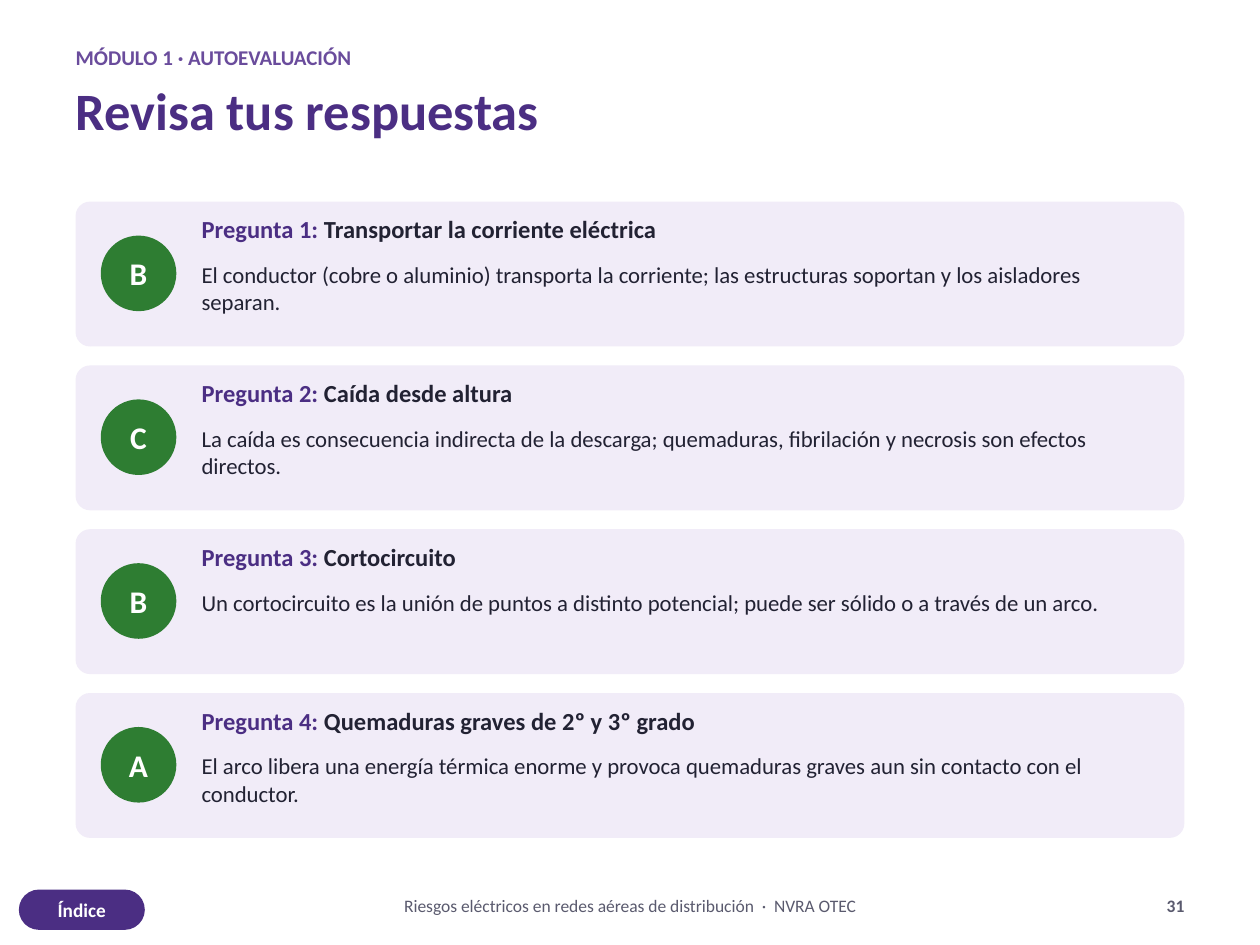
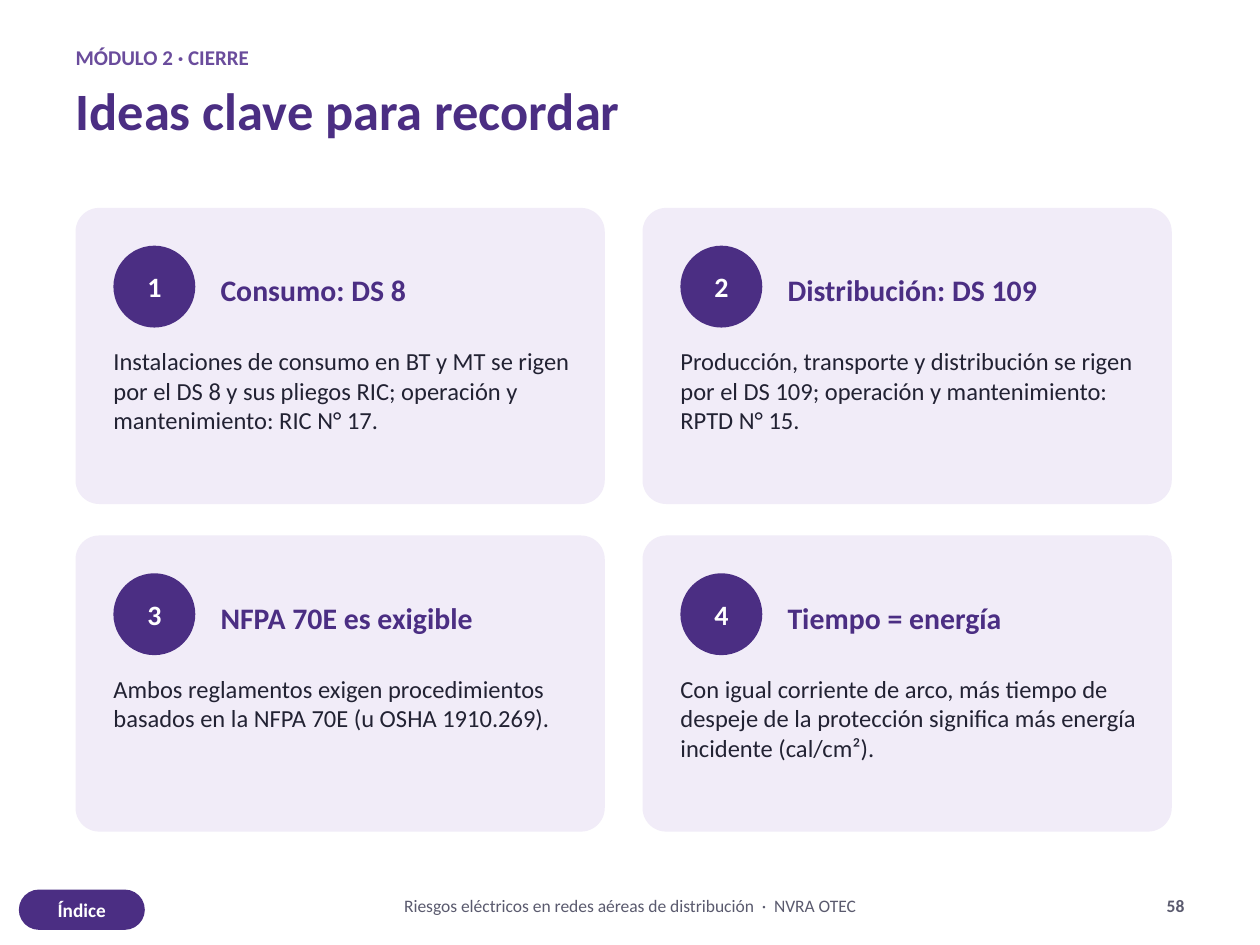
from pptx import Presentation
from pptx import util as u
from pptx.dml.color import RGBColor
from pptx.enum import shapes, text

PURPLE = RGBColor(0x4B, 0x2E, 0x83)
VIOLET = RGBColor(0x6A, 0x4C, 0x9C)
LILAC = RGBColor(0xF1, 0xEC, 0xF8)
GREEN = RGBColor(0x2E, 0x7D, 0x32)
INK = RGBColor(0x22, 0x22, 0x33)
GREY = RGBColor(0x5A, 0x5A, 0x6E)
WHITE = RGBColor(0xFF, 0xFF, 0xFF)

PX = 9144
WIDTH, HEIGHT = 1000, 750
MARGIN = 60
CONTENT_WIDTH = WIDTH - 2 * MARGIN
FOOTER = "Riesgos eléctricos en redes aéreas de distribución  ·  NVRA OTEC"

ANSWERS = [
    ("B", "Transportar la corriente eléctrica",
     "El conductor (cobre o aluminio) transporta la corriente; "
     "las estructuras soportan y los aisladores separan."),
    ("C", "Caída desde altura",
     "La caída es consecuencia indirecta de la descarga; "
     "quemaduras, fibrilación y necrosis son efectos directos."),
    ("B", "Cortocircuito",
     "Un cortocircuito es la unión de puntos a distinto potencial; "
     "puede ser sólido o a través de un arco."),
    ("A", "Quemaduras graves de 2º y 3º grado",
     "El arco libera una energía térmica enorme y provoca "
     "quemaduras graves aun sin contacto con el conductor."),
]

KEY_IDEAS = [
    ("Consumo: DS 8",
     "Instalaciones de consumo en BT y MT se rigen por el DS 8 "
     "y sus pliegos RIC; operación y mantenimiento: RIC N° 17."),
    ("Distribución: DS 109",
     "Producción, transporte y distribución se rigen por el DS 109; "
     "operación y mantenimiento: RPTD N° 15."),
    ("NFPA 70E es exigible",
     "Ambos reglamentos exigen procedimientos basados en la "
     "NFPA 70E (u OSHA 1910.269)."),
    ("Tiempo = energía",
     "Con igual corriente de arco, más tiempo de despeje de la "
     "protección significa más energía incidente (cal/cm²)."),
]


def px(*lengths):
    return [u.Emu(length * PX) for length in lengths]


def write(shape, *runs, size, color=INK, bold=False,
          align=text.PP_ALIGN.LEFT, anchor=text.MSO_ANCHOR.TOP):
    frame = shape.text_frame
    frame.word_wrap = True
    frame.auto_size = text.MSO_AUTO_SIZE.NONE
    frame.vertical_anchor = anchor
    frame.margin_left = frame.margin_right = 0
    frame.margin_top = frame.margin_bottom = 0
    paragraph = frame.paragraphs[0]
    paragraph.alignment = align
    for words, run_color in runs:
        run = paragraph.add_run()
        run.text = words
        run.font.name = "Calibri"
        run.font.size = u.Pt(size)
        run.font.bold = bold
        run.font.color.rgb = run_color or color


class Deck:
    def __init__(self):
        self.presentation = Presentation()
        self.presentation.slide_width, self.presentation.slide_height = px(WIDTH, HEIGHT)
        self.slide = None

    def start(self, section, heading, number):
        layout = self.presentation.slide_layouts.get_by_name("Title Only")
        self.slide = self.presentation.slides.add_slide(layout)
        title = self.slide.shapes.title
        title.left, title.top, title.width, title.height = px(MARGIN, 62, CONTENT_WIDTH, 75)
        write(title, (heading, None), size=30, color=PURPLE, bold=True)
        self.label(MARGIN, 35, CONTENT_WIDTH, 30, section, size=12, color=VIOLET, bold=True)
        self.footer(number)

    def footer(self, number):
        index = self.panel(15, 706, 100, 32, radius=0.5, fill=PURPLE)
        self.center(index, "Índice", size=11)
        self.label(200, 710, 600, 28, FOOTER, size=10, color=GREY,
                   align=text.PP_ALIGN.CENTER)
        self.label(840, 710, 100, 28, str(number), size=10, color=GREY, bold=True,
                   align=text.PP_ALIGN.RIGHT)

    def label(self, left, top, width, height, *runs, **style):
        box = self.slide.shapes.add_textbox(*px(left, top, width, height))
        pairs = [(run, None) if isinstance(run, str) else run for run in runs]
        write(box, *pairs, **style)

    def shape(self, preset, left, top, width, height, fill):
        shape = self.slide.shapes.add_shape(preset, *px(left, top, width, height))
        shape.shadow.inherit = False
        shape.fill.solid()
        shape.fill.fore_color.rgb = fill
        shape.line.fill.background()
        return shape

    def panel(self, left, top, width, height, radius, fill=LILAC):
        panel = self.shape(shapes.MSO_SHAPE.ROUNDED_RECTANGLE, left, top, width, height, fill)
        panel.adjustments[0] = radius
        return panel

    def badge(self, left, top, diameter, mark, size, fill):
        badge = self.shape(shapes.MSO_SHAPE.OVAL, left, top, diameter, diameter, fill)
        self.center(badge, mark, size)

    def center(self, shape, words, size):
        write(shape, (words, None), size=size, color=WHITE, bold=True,
              align=text.PP_ALIGN.CENTER, anchor=text.MSO_ANCHOR.MIDDLE)

    def answer(self, top, number, letter, solution, reason):
        self.panel(MARGIN, top, CONTENT_WIDTH, 115, radius=0.1)
        self.badge(80, top + 27, 60, letter, size=18, fill=GREEN)
        self.label(160, top + 10, 760, 40, (f"Pregunta {number}: ", PURPLE), solution,
                   size=14, bold=True)
        self.label(160, top + 47, 760, 65, reason, size=13)

    def key_idea(self, left, top, number, heading, summary):
        self.panel(left, top, 420, 235, radius=0.08)
        self.badge(left + 30, top + 30, 65, str(number), size=16, fill=PURPLE)
        self.label(left + 115, top + 30, 285, 70, heading, size=17, color=PURPLE,
                   bold=True, anchor=text.MSO_ANCHOR.MIDDLE)
        self.label(left + 30, top + 110, 365, 120, summary, size=14)


def main():
    deck = Deck()

    deck.start("MÓDULO 1 · AUTOEVALUACIÓN", "Revisa tus respuestas", 31)
    for row, answer in enumerate(ANSWERS):
        deck.answer(160 + row * 130, row + 1, *answer)

    deck.start("MÓDULO 2 · CIERRE", "Ideas clave para recordar", 58)
    for position, idea in enumerate(KEY_IDEAS):
        row, column = divmod(position, 2)
        deck.key_idea(MARGIN + column * 450, 165 + row * 260, position + 1, *idea)

    deck.presentation.save("out.pptx")


if __name__ == "__main__":
    main()
